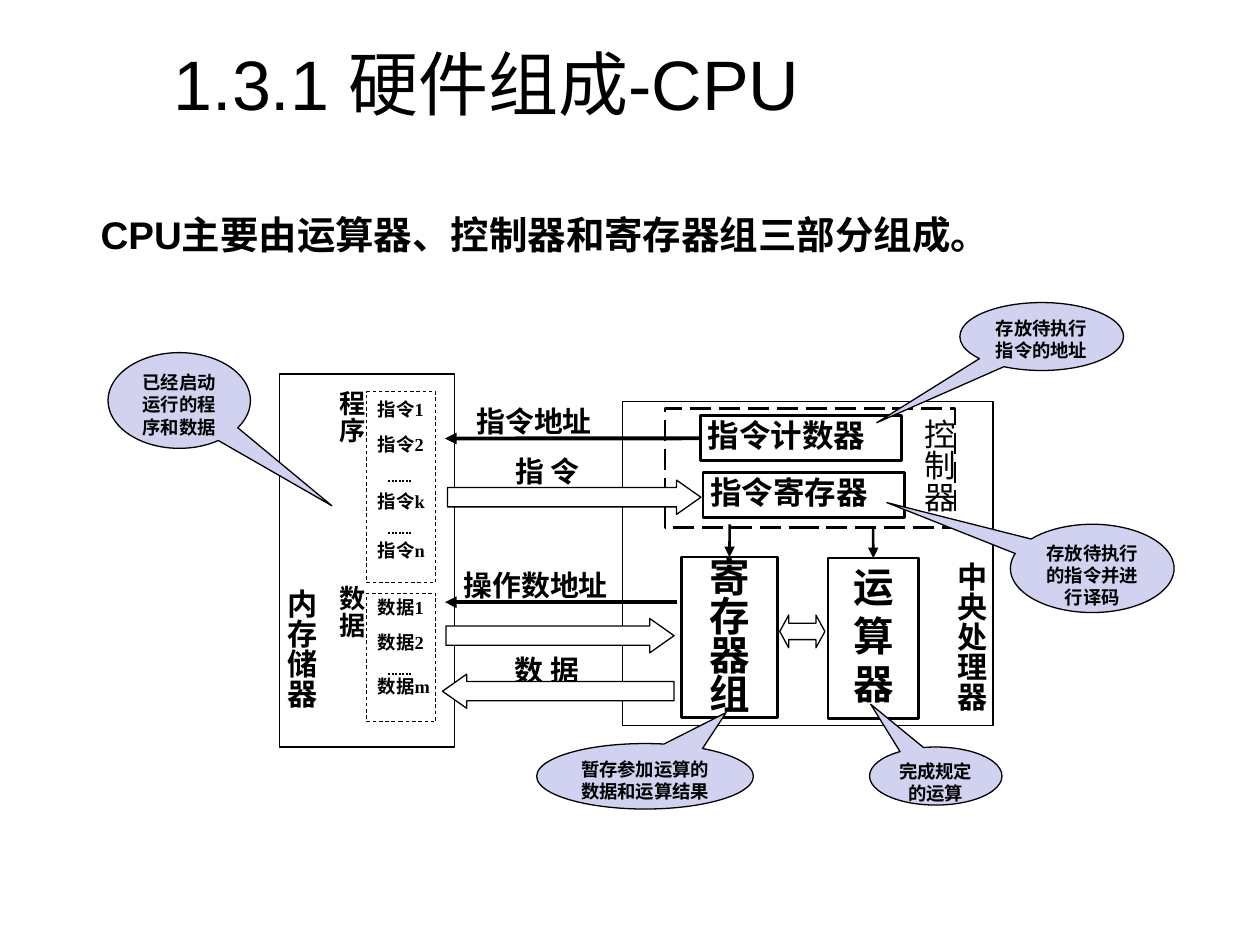
"""Build the CPU hardware composition slide."""
from dataclasses import dataclass
from typing import Optional

from lxml.etree import SubElement
from pptx import Presentation
from pptx.dml.color import RGBColor
from pptx.enum.dml import MSO_LINE as Dash
from pptx.enum.shapes import MSO_CONNECTOR as Link, MSO_SHAPE as Kind
from pptx.enum.text import MSO_ANCHOR as Anchor, PP_ALIGN as Align
from pptx.oxml.ns import qn
from pptx.util import Cm, Pt

BLACK, WHITE, LILAC = "000000", "FFFFFF", "D1D1F0"
SERIF, SANS = "Times New Roman", "Arial"
BLOCK_ARROW = (0.565, 0.709)


@dataclass(frozen=True)
class Area:
    left: float
    top: float
    width: float
    height: float

    def lengths(self) -> tuple:
        return Cm(self.left), Cm(self.top), Cm(self.width), Cm(self.height)


@dataclass(frozen=True)
class Callout:
    text: str
    area: Area
    tip: tuple


CALLOUTS = (
    Callout("已经启动运行的程序和数据", Area(2.18, 7.11, 2.87, 1.93), (1.072, 1.099)),
    Callout("存放待执行指令的地址", Area(19.35, 6.1, 3.3, 1.37), (-1.008, 1.269)),
    Callout("存放待执行的指令并进行译码", Area(20.37, 10.57, 3.3, 1.78), (-1.255, -0.746)),
    Callout("暂存参加运算的数据和运算结果", Area(10.82, 14.99, 4.37, 1.32), (0.374, -0.973)),
    Callout("完成规定的运算", Area(17.53, 15.06, 2.67, 1.17), (-0.491, -1.237)),
)


def paint(target, colour: str) -> None:
    target.solid()
    target.fore_color.rgb = RGBColor.from_string(colour)


def write(box, text: str, *, size: float, font: str = SERIF, bold: bool = True,
          align=Align.JUSTIFY, spacing: float = 1.0, inset: tuple = (0.15, 0.08),
          anchor=Anchor.TOP, vertical: bool = False, indent: float = 0) -> None:
    frame = box.text_frame
    frame.word_wrap = True
    frame.vertical_anchor = anchor
    frame.margin_left = frame.margin_right = Cm(inset[0])
    frame.margin_top = frame.margin_bottom = Cm(inset[1])
    if vertical:
        frame._txBody.bodyPr.set("vert", "eaVert")
    para = frame.paragraphs[0]
    para.alignment, para.line_spacing = align, spacing
    if indent:
        para._p.get_or_add_pPr().set("indent", str(Cm(indent)))
    span = para.add_run()
    span.text = text
    span.font.name, span.font.size, span.font.bold = font, Pt(size), bold
    paint(span.font.fill, BLACK)


def draw_label(page, area: Area, text: str, **style):
    box = page.shapes.add_textbox(*area.lengths())
    write(box, text, **style)
    return box


def draw_shape(page, area: Area, kind=Kind.RECTANGLE, *, fill: Optional[str] = WHITE,
               weight: float = 0.75, dash=None, adjust: tuple = ()):
    shape = page.shapes.add_shape(kind, *area.lengths())
    shape.shadow.inherit = False
    if fill:
        paint(shape.fill, fill)
    else:
        shape.fill.background()
    paint(shape.line.fill, BLACK)
    shape.line.width = Pt(weight)
    if dash:
        shape.line.dash_style = dash
    for index, value in enumerate(adjust):
        shape.adjustments[index] = value
    return shape


def draw_line(page, start: tuple, end: tuple, weight: float, *, dash=None, head: bool = True):
    line = page.shapes.add_connector(Link.STRAIGHT, *(Cm(value) for value in start + end))
    paint(line.line.fill, BLACK)
    line.line.width = Pt(weight)
    if dash:
        line.line.dash_style = dash
    properties = line._element.spPr
    if head:
        SubElement(properties.find(qn("a:ln")), qn("a:tailEnd"), type="triangle")
    SubElement(properties, qn("a:effectLst"))
    return line


def draw_processor(page):
    """Draw the processor and return the instruction counter box."""
    draw_shape(page, Area(12.55, 8.1, 7.47, 6.53))
    registers = draw_shape(page, Area(13.74, 11.23, 1.93, 3.23), weight=1.5)
    write(registers, "寄存器组", size=23.2, align=Align.CENTER, spacing=0.8)
    arithmetic = draw_shape(page, Area(16.69, 11.25, 1.83, 3.23), weight=1.5)
    write(arithmetic, "运算器", size=23.2, align=Align.CENTER)
    draw_shape(page, Area(13.41, 8.23, 5.84, 2.41), weight=1.5, dash=Dash.LONG_DASH)
    draw_label(page, Area(18.67, 11.25, 1.35, 3.33), "中央处理器",
               size=17.2, spacing=0.9, vertical=True)
    for unit, x, top in ((arithmetic, 17.6, 10.64), (registers, 14.71, 10.57)):
        draw_line(page, (x, top), (x, 11.25), 1.5).end_connect(unit, 0)
    draw_shape(page, Area(15.72, 12.4, 0.91, 0.66), Kind.LEFT_RIGHT_ARROW, adjust=(0.5, 0.273))
    counter = draw_shape(page, Area(14.12, 8.38, 4.06, 0.91), fill=None, weight=1.5)
    holder = draw_shape(page, Area(14.17, 9.53, 4.06, 0.91), fill=None, weight=1.5)
    for box, text in ((counter, "指令计数器"), (holder, "指令寄存器")):
        write(box, text, size=18, inset=(0.15, 0))
    draw_label(page, Area(17.73, 8.36, 1.96, 2.21), "控制器",
               size=18, bold=False, spacing=1.3, vertical=True)
    return counter


def draw_memory(page) -> None:
    draw_shape(page, Area(5.64, 7.54, 3.53, 7.52))
    for text, top in (("指令1", 8.03), ("指令2", 8.74), ("指令k", 9.88), ("指令n", 10.87)):
        draw_label(page, Area(7.47, top, 1.91, 1.14), text, size=10.5, inset=(0.15, 0))
    for text, top in (("数据1", 11.94), ("数据2", 12.65), ("数据m", 13.54)):
        draw_label(page, Area(7.47, top, 2, 1.6), text, size=10.5)
    for y in (9.7, 10.74, 13.59):
        draw_line(page, (7.83, y), (8.31, y), 1, dash=Dash.ROUND_DOT, head=False)
    for top, height in ((7.9, 3.84), (11.96, 2.59)):
        draw_shape(page, Area(7.39, top, 1.4, height), fill=None, weight=0.5, dash=Dash.DASH)
    for text, top in (("程序", 7.8), ("数据", 11.73)):
        draw_label(page, Area(6.4, top, 1.22, 1.52), text, size=15, spacing=1.1, vertical=True)
    draw_label(page, Area(5.38, 11.79, 1.22, 3.35), "内存储器", size=17.2, vertical=True)


def draw_transfers(page, counter) -> None:
    draw_label(page, Area(9.46, 7.85, 3.43, 1.35), "指令地址", size=16.5, spacing=1.3)
    draw_line(page, (14.12, 8.84), (8.97, 8.84), 2.25).begin_connect(counter, 1)
    draw_label(page, Area(9.4, 8.86, 3.28, 1.35), "指 令",
               size=16.5, align=Align.CENTER, spacing=1.3)
    draw_shape(page, Area(9.02, 9.68, 5.11, 0.69), Kind.RIGHT_ARROW, adjust=BLOCK_ARROW)
    draw_label(page, Area(9.2, 11.23, 3.7, 1.12), "操作数地址", size=16.5, spacing=1.2)
    draw_line(page, (13.64, 12.14), (8.97, 12.14), 2.25)
    draw_shape(page, Area(8.99, 12.47, 4.6, 0.69), Kind.RIGHT_ARROW, adjust=BLOCK_ARROW)
    draw_label(page, Area(9.55, 12.73, 2.95, 1.45), "数 据",
               size=16.5, align=Align.CENTER, spacing=1.5)
    draw_shape(page, Area(8.92, 13.59, 4.67, 0.69), Kind.LEFT_ARROW, adjust=BLOCK_ARROW)


def draw_callout(page, callout: Callout) -> None:
    shape = draw_shape(page, callout.area, Kind.OVAL_CALLOUT, fill=LILAC, adjust=callout.tip)
    write(shape, callout.text, size=10.5, font=SANS, align=Align.CENTER, inset=(0.18, 0.1))


def main() -> None:
    deck = Presentation()
    deck.slide_width, deck.slide_height = Cm(25.4), Cm(19.05)
    page = deck.slides.add_slide(deck.slide_layouts[6])
    counter = draw_processor(page)
    draw_memory(page)
    draw_label(page, Area(0.81, 3.66, 23.39, 1.47), "CPU主要由运算器、控制器和寄存器组三部分组成。",
               size=22, font=SANS, align=Align.LEFT, spacing=1.5, inset=(0.25, 0.13), indent=0.97)
    for callout in CALLOUTS:
        draw_callout(page, callout)
    draw_transfers(page, counter)
    draw_label(page, Area(2.29, 0.61, 15.04, 2.11), "1.3.1 硬件组成-CPU", size=40, font=SANS,
               bold=False, align=Align.CENTER, inset=(0.25, 0.13), anchor=Anchor.MIDDLE)
    deck.save("out.pptx")


if __name__ == "__main__":
    main()
